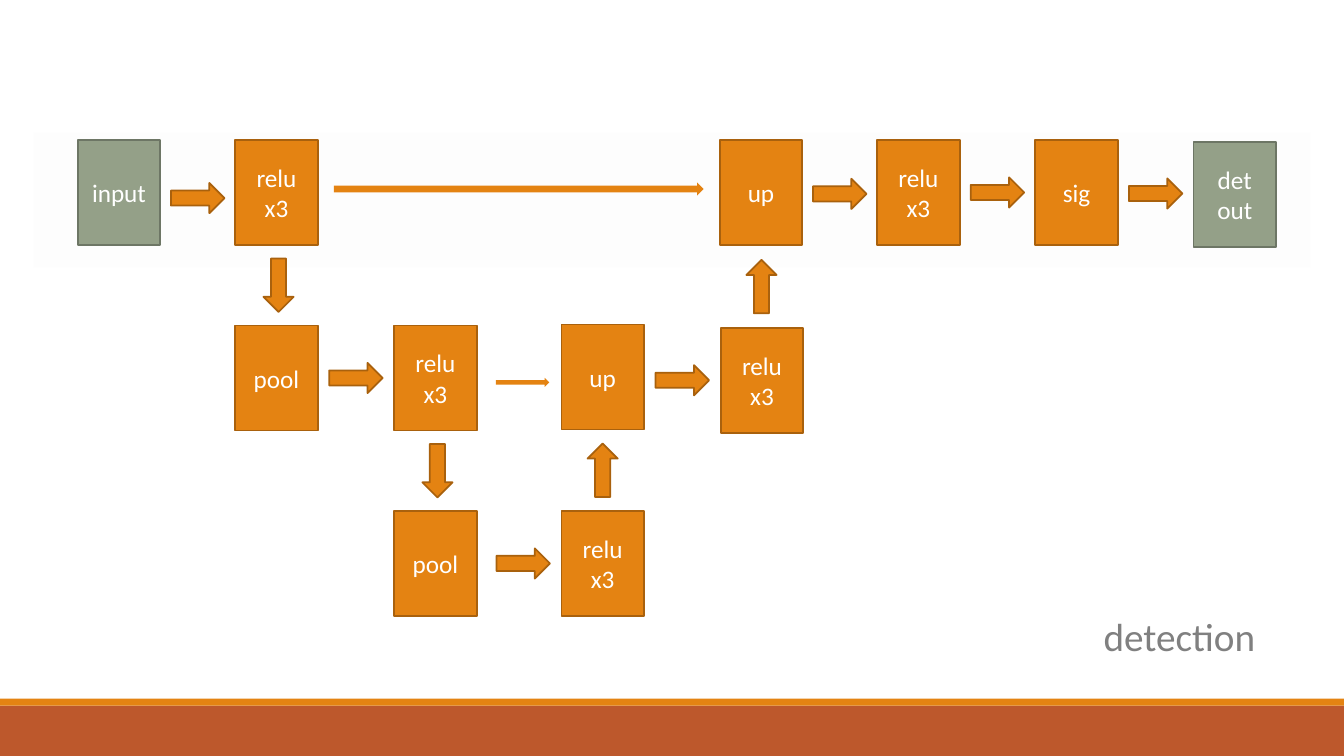
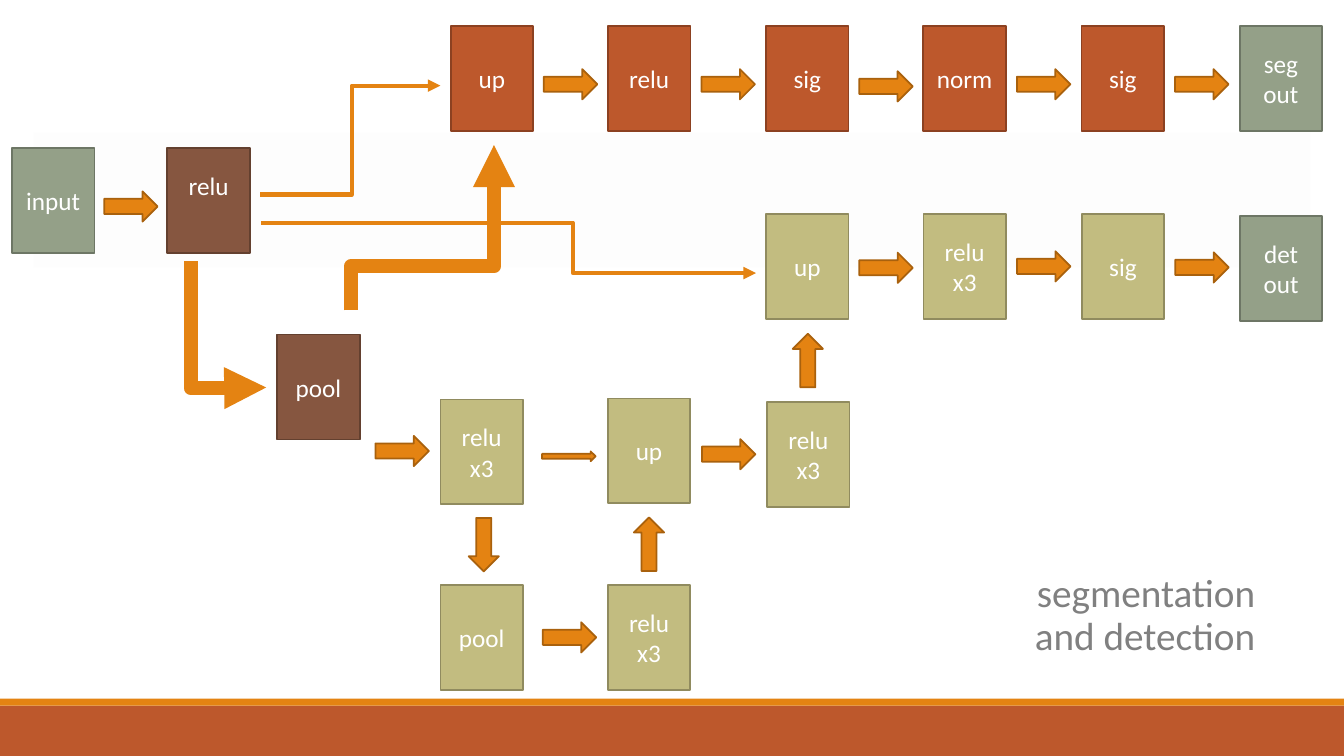
import pptx
import pptx.dml.color
import pptx.enum.shapes
import pptx.enum.text
import pptx.oxml
import pptx.util
from lxml import etree

Pt = pptx.util.Pt
SHAPE = pptx.enum.shapes.MSO_SHAPE
ALIGN = pptx.enum.text.PP_ALIGN
ANCHOR = pptx.enum.text.MSO_ANCHOR

FONT = "Calibri"
WHITE, GREY, PANEL = "FFFFFF", "808080", "FDFDFD"
ORANGE, ORANGE_EDGE, RUST = "E48312", "A9610D", "BD582C"
SLIDE_W, SLIDE_H = 960, 540
BOX_W, BOX_H = 59, 75
ARROW_LENGTH, ARROW_WIDTH = 38.2, 21.6
CAPTION_RIGHT, CAPTION_BOTTOM = 903.6, 474.5

# Fill and edge of each kind of block
STYLES = {
    "end": ("94A088", "6D7665"),
    "plain": (ORANGE, ORANGE_EDGE),
    "shared": ("865640", "63402F"),
    "detect": ("C2BC80", "908B5F"),
    "segment": (RUST, "8C4121"),
}

# Blocks: name: (label, centre x, centre y, style); style None takes the slide's own
DETECTOR = {
    "relu 2": ("relu\nx3", 311, 270, None),
    "pool 2": ("pool", 311, 402.5, None),
    "relu 3": ("relu\nx3", 430.5, 402.5, None),
    "up 2": ("up", 430.5, 269.3, None),
    "relu 4": ("relu\nx3", 544.3, 272, None),
    "up 1": ("up", 543.6, 137.5, None),
    "relu 5": ("relu\nx3", 656, 137.5, None),
    "sig": ("sig", 769, 137.5, None),
    "det": ("det\nout", 882, 139, "end"),
}
# Links: from, to, nudge x, nudge y away from the midpoint
DETECTOR_LINKS = [
    ("relu 2", "pool 2", 1.5, 0), ("pool 2", "relu 3", 3, 0),
    ("relu 3", "up 2", 0, 0), ("up 2", "relu 4", 0, 1),
    ("relu 4", "up 1", 0, 0), ("up 1", "relu 5", 0, 1),
    ("relu 5", "sig", 0, 0), ("sig", "det", 0, 0),
]
DETECTOR_SKIP = ("relu 2", "up 2", 2.5, 3.5)

DETECTION = {
    "caption": ["detection"],
    "style": "plain",
    "shift": (0, 0),
    "blocks": {
        "input": ("input", 85, 137.5, "end"),
        "relu 1": ("relu\nx3", 197.5, 137.5, None),
        "pool 1": ("pool", 197.5, 270, None),
    },
    "links": [("input", "relu 1", 0, 4), ("relu 1", "pool 1", 1.5, 0),
              ("pool 1", "relu 2", 0, 0)],
    # Skips: link, length, width, edge
    "skips": [(DETECTOR_SKIP, ARROW_LENGTH, 6.5, None),
              (("relu 1", "up 1", 0, -2.5), 264.2, 9.4, None)],
    "raised": [],
    "elbows": [],
}

SEGMENT_ROW = ["up", "relu", "sig", "norm", "sig"]
SEGMENT_X = [351.4, 463.7, 576.7, 689, 802, 915]
SEGMENT_NAMES = [f"seg {i}" for i in range(len(SEGMENT_X))]
SEGMENT_NUDGES = [4, 4, 5.5, 4, 4]

COMBINED = {
    "caption": ["segmentation", "and detection"],
    "style": "detect",
    "shift": (33.1, 52.8),
    "blocks": {
        "input": ("input", 38, 143.5, "end"),
        "relu 1": ("relu", 149, 143.5, "shared"),
        "pool 1": ("pool", 227.5, 276.5, "shared"),
        **{name: (label, x, 56.2, "segment")
           for name, label, x in zip(SEGMENT_NAMES, SEGMENT_ROW, SEGMENT_X)},
        SEGMENT_NAMES[-1]: ("seg\nout", SEGMENT_X[-1], 56.2, "end"),
    },
    "links": [("input", "relu 1", 0, 4), ("pool 1", "relu 2", 1.5, 22.5),
              *((a, b, 0, dy) for a, b, dy in
                zip(SEGMENT_NAMES, SEGMENT_NAMES[1:], SEGMENT_NUDGES))],
    "skips": [(DETECTOR_SKIP, ARROW_LENGTH, 7, ORANGE_EDGE)],
    "raised": ["relu 1"],
    # Elbows: start, end, bend as a share of the way, weight, starts vertically
    "elbows": [
        ((250.6, 221.8), (352.8, 103.7), 0.266, 10, True),
        ((185.8, 139), (314.6, 61.2), 0.509, 3, False),
        ((186.5, 159.1), (540, 195.1), 0.63, 3, False),
        ((136.1, 186.5), (190.1, 276.8), 1.005, 10, True),
    ],
}


def rgb(color):
    return pptx.dml.color.RGBColor.from_string(color)


def add_preset(s, kind, left, top, width, height, fill, edge=None):
    sp = s.shapes.add_shape(kind, Pt(left), Pt(top), Pt(width), Pt(height))
    sp.shadow.inherit = False
    sp.fill.solid()
    sp.fill.fore_color.rgb = rgb(fill)
    if edge:
        sp.line.color.rgb = rgb(edge)
        sp.line.width = Pt(1.25)
    else:
        sp.line.fill.background()
    return sp


def write_lines(tf, lines, size, color, align):
    tf.word_wrap = True
    for i, text in enumerate(lines):
        p = tf.add_paragraph() if i else tf.paragraphs[0]
        p.alignment = align
        r = p.add_run()
        r.text = text
        r.font.name = FONT
        r.font.size = Pt(size)
        r.font.color.rgb = rgb(color)


def add_block(s, block, own_style, raised):
    label, x, y, style = block
    sp = add_preset(s, SHAPE.RECTANGLE, x - BOX_W / 2, y - BOX_H / 2,
                    BOX_W, BOX_H, *STYLES[style or own_style])
    tf = sp.text_frame
    tf.vertical_anchor = ANCHOR.MIDDLE
    if raised:
        tf.margin_bottom = Pt(25.5)
    write_lines(tf, label.split("\n"), 18, WHITE, ALIGN.CENTER)


def add_arrow(s, blocks, link, length=ARROW_LENGTH, width=ARROW_WIDTH, edge=ORANGE_EDGE):
    """Centre a block arrow between two blocks, pointing along the longer distance."""
    start, end, nudge_x, nudge_y = link
    (_, x1, y1, _), (_, x2, y2, _) = blocks[start], blocks[end]
    if abs(x2 - x1) > abs(y2 - y1):
        kind, w, h = SHAPE.RIGHT_ARROW, length, width
    else:
        kind = SHAPE.DOWN_ARROW if y2 > y1 else SHAPE.UP_ARROW
        w, h = width, length
    add_preset(s, kind, (x1 + x2 - w) / 2 + nudge_x, (y1 + y2 - h) / 2 + nudge_y,
               w, h, ORANGE, edge)


def add_elbow(s, start, end, bend, weight, vertical):
    """Draw a bent arrow; one that starts vertically is a turned horizontal one."""
    (x1, y1), (x2, y2) = start, end
    turn = 0
    if vertical:
        turn = 90 if y2 < y1 else 270
        sign = 1 if turn == 90 else -1
        cx, cy = (x1 + x2) / 2, (y1 + y2) / 2
        u, v = sign * (y2 - y1) / 2, -sign * (x2 - x1) / 2
        x1, y1, x2, y2 = cx - u, cy - v, cx + u, cy + v
    cxn = s.shapes.add_connector(pptx.enum.shapes.MSO_CONNECTOR.ELBOW,
                                 Pt(x1), Pt(y1), Pt(x2), Pt(y2))
    cxn.line.color.rgb = rgb(ORANGE)
    cxn.line.width = Pt(weight)
    qn = pptx.oxml.ns.qn
    props = cxn._element.spPr
    if turn:
        props.find(qn("a:xfrm")).set("rot", str(turn * 60000))
    guides = props.find(qn("a:prstGeom")).find(qn("a:avLst"))
    etree.SubElement(guides, qn("a:gd"), name="adj1", fmla=f"val {round(bend * 100000)}")
    etree.SubElement(props.find(qn("a:ln")), qn("a:tailEnd"), type="triangle")
    etree.SubElement(props, qn("a:effectLst"))


def add_caption(s, lines):
    width, height = 230, 41 + 32 * (len(lines) - 1)
    box = s.shapes.add_textbox(Pt(CAPTION_RIGHT - width), Pt(CAPTION_BOTTOM - height),
                               Pt(width), Pt(height))
    tf = box.text_frame
    tf.vertical_anchor = ANCHOR.BOTTOM
    write_lines(tf, lines, 28, GREY, ALIGN.RIGHT)
    for p in tf.paragraphs[1:]:
        p.line_spacing = 0.93


def add_master_bands(prs, s):
    """Draw the footer bands on a slide, then move them to the master."""
    for top, height, fill in [(504, 36, RUST), (499, 5, ORANGE)]:
        sp = add_preset(s, SHAPE.RECTANGLE, 0, top, SLIDE_W, height, fill)
        prs.slide_master.shapes._spTree.append(sp._element)


def draw_network(s, network):
    add_preset(s, SHAPE.RECTANGLE, 24, 95, 912, 96, PANEL)
    dx, dy = network["shift"]
    blocks = dict(network["blocks"])
    for name, (label, x, y, style) in DETECTOR.items():
        blocks[name] = (label, x + dx, y + dy, style)
    for name, block in blocks.items():
        add_block(s, block, network["style"], name in network["raised"])
    for link in network["links"] + DETECTOR_LINKS:
        add_arrow(s, blocks, link)
    for skip in network["skips"]:
        add_arrow(s, blocks, *skip)
    for elbow in network["elbows"]:
        add_elbow(s, *elbow)
    add_caption(s, network["caption"])


def main():
    prs = pptx.Presentation()
    prs.slide_width, prs.slide_height = Pt(SLIDE_W), Pt(SLIDE_H)
    blank = prs.slide_layouts[6]
    for i, network in enumerate([DETECTION, COMBINED]):
        s = prs.slides.add_slide(blank)
        if i == 0:
            add_master_bands(prs, s)
        draw_network(s, network)
    prs.save("out.pptx")


if __name__ == "__main__":
    main()
